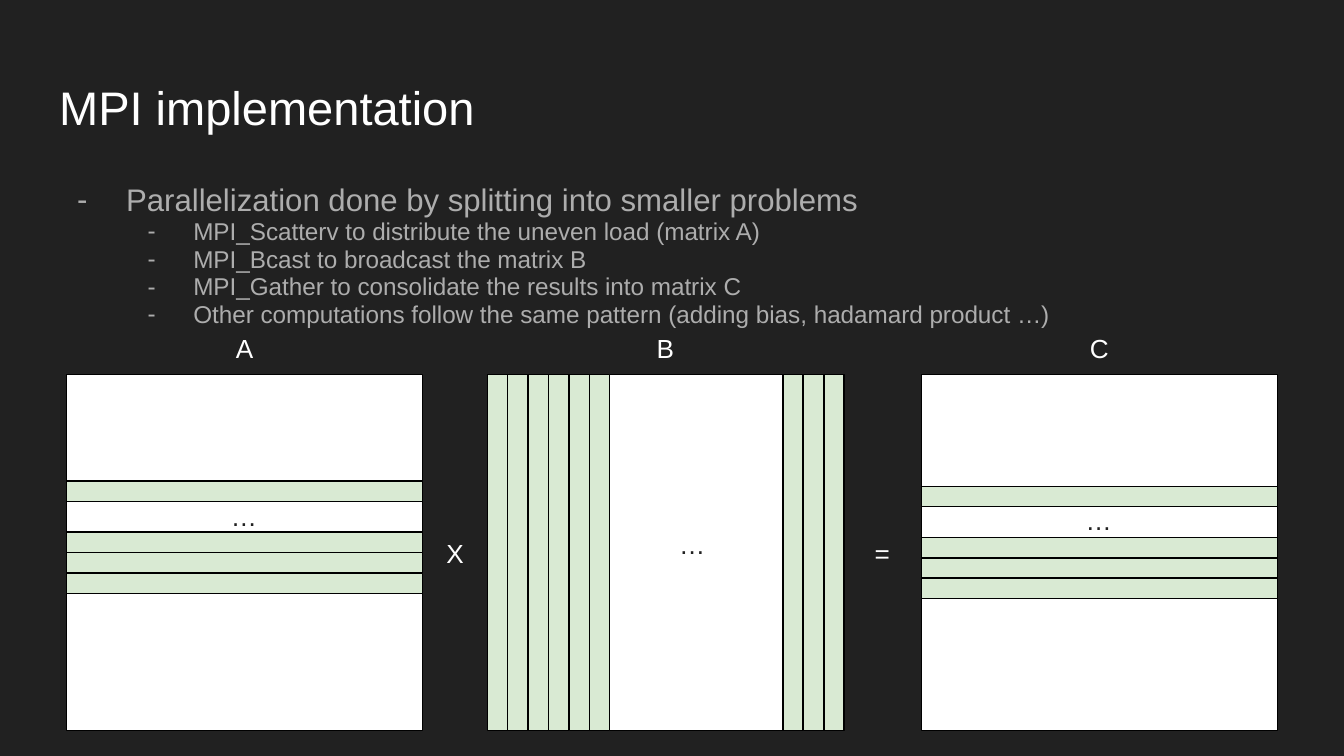
from lxml.etree import SubElement
from pptx import Presentation
from pptx.dml.color import RGBColor
from pptx.enum.shapes import MSO_SHAPE
from pptx.enum.text import MSO_ANCHOR, MSO_AUTO_SIZE, PP_ALIGN
from pptx.oxml.ns import qn
from pptx.util import Pt

EMU_PER_PX = 4572
FONT = "Arial"
DARK = RGBColor(0x21, 0x21, 0x21)
WHITE = RGBColor(0xFF, 0xFF, 0xFF)
GRAY = RGBColor(0xAD, 0xAD, 0xAD)
GREEN = RGBColor(0xD9, 0xEA, 0xD3)
BLACK = RGBColor(0, 0, 0)

MATRIX_TOP, MATRIX_SIZE = 557, 530
STRIP, STRIP_PITCH = 30, 30.5
LABEL_WIDTH, LABEL_HEIGHT = 238, 88

BULLETS = [
    (0, "Parallelization done by splitting into smaller problems"),
    (1, "MPI_Scatterv to distribute the uneven load (matrix A)"),
    (1, "MPI_Bcast to broadcast the matrix B"),
    (1, "MPI_Gather to consolidate the results into matrix C"),
    (1, "Other computations follow the same pattern (adding bias, hadamard product …)"),
]
LEVEL_STYLES = [(16.7, 100, 73), (13, 200, 68)]


def px(length):
    """Turn px into whole EMU."""
    return round(length * EMU_PER_PX)


def set_frame(text_frame):
    """Give a text frame its insets, wrapping and top anchor."""
    text_frame.word_wrap = True
    text_frame.auto_size = MSO_AUTO_SIZE.NONE
    text_frame.vertical_anchor = MSO_ANCHOR.TOP
    text_frame.margin_left = text_frame.margin_right = px(20)
    text_frame.margin_top = text_frame.margin_bottom = px(20)


def set_font(paragraph, size, color):
    """Set the font of a whole paragraph."""
    paragraph.font.name = FONT
    paragraph.font.size = Pt(size)
    paragraph.font.color.rgb = color


def fill_title(slide, text):
    """Place and format the title placeholder."""
    title = slide.shapes.title
    title.left, title.top, title.width, title.height = map(px, (68, 97, 1864, 126))
    set_frame(title.text_frame)
    title.text_frame.text = text
    paragraph = title.text_frame.paragraphs[0]
    paragraph.alignment = PP_ALIGN.LEFT
    set_font(paragraph, 25.2, WHITE)


def add_dash(paragraph, indent, hanging):
    """Give a paragraph a dash bullet with a hanging indent."""
    properties = paragraph._p.get_or_add_pPr()
    properties.set("marL", str(px(indent)))
    properties.set("indent", str(px(-hanging)))
    color = SubElement(properties, qn("a:buClr"))
    SubElement(color, qn("a:srgbClr"), val=str(GRAY))
    SubElement(properties, qn("a:buFont"), typeface=FONT)
    SubElement(properties, qn("a:buChar"), char="-")


def add_bullets(slide, bullets):
    """Add the two-level bullet list."""
    text_frame = slide.shapes.add_textbox(*map(px, (68, 252, 1864, 258))).text_frame
    set_frame(text_frame)
    for index, (level, text) in enumerate(bullets):
        paragraph = text_frame.paragraphs[0] if index == 0 else text_frame.add_paragraph()
        size, indent, hanging = LEVEL_STYLES[level]
        paragraph.text = text
        paragraph.level = level
        paragraph.line_spacing = 0.95
        set_font(paragraph, size, GRAY)
        add_dash(paragraph, indent, hanging)


def add_label(slide, text, left, top, width=LABEL_WIDTH, color=WHITE):
    """Add a centred label."""
    text_box = slide.shapes.add_textbox(px(left), px(top), px(width), px(LABEL_HEIGHT))
    set_frame(text_box.text_frame)
    paragraph = text_box.text_frame.paragraphs[0]
    paragraph.text = text
    paragraph.alignment = PP_ALIGN.CENTER
    set_font(paragraph, 14, color)


def add_box(slide, left, top, width, height, color):
    """Add an outlined rectangle."""
    box = slide.shapes.add_shape(MSO_SHAPE.RECTANGLE, *map(px, (left, top, width, height)))
    box.shadow.inherit = False
    box.fill.solid()
    box.fill.fore_color.rgb = color
    box.line.color.rgb = BLACK
    box.line.width = Pt(0.75)


def add_matrix(slide, name, left):
    """Add a matrix square with its name above."""
    add_box(slide, left, MATRIX_TOP, MATRIX_SIZE, MATRIX_SIZE, WHITE)
    add_label(slide, name, left + (MATRIX_SIZE - LABEL_WIDTH) / 2, 475)


def add_rows(slide, left, top, count):
    """Add adjoining row strips."""
    for index in range(count):
        add_box(slide, left, top + index * STRIP_PITCH, MATRIX_SIZE, STRIP, GREEN)


def add_columns(slide, left, count):
    """Add adjoining column strips."""
    for index in range(count):
        add_box(slide, left + index * STRIP_PITCH, MATRIX_TOP, STRIP, MATRIX_SIZE, GREEN)


def main():
    """Build the slide and save it."""
    presentation = Presentation()
    presentation.slide_width, presentation.slide_height = px(2000), px(1125)
    slide = presentation.slides.add_slide(presentation.slide_layouts[5])
    slide.background.fill.solid()
    slide.background.fill.fore_color.rgb = DARK

    fill_title(slide, "MPI implementation")
    add_bullets(slide, BULLETS)
    for name, left in (("A", 99), ("B", 725), ("C", 1371)):
        add_matrix(slide, name, left)
    for operator, left in (("X", 638), ("=", 1274)):
        add_label(slide, operator, left, 780, width=78)

    for left, top in ((99, 716), (1371, 724)):
        add_rows(slide, left, top, 1)
        add_rows(slide, left, top + 76, 3)
    add_columns(slide, 725, 6)
    add_columns(slide, 1165, 3)
    for left, top in ((244, 724), (911, 766), (1516, 731)):
        add_label(slide, "…", left, top, color=DARK)

    presentation.save("out.pptx")


if __name__ == "__main__":
    main()
